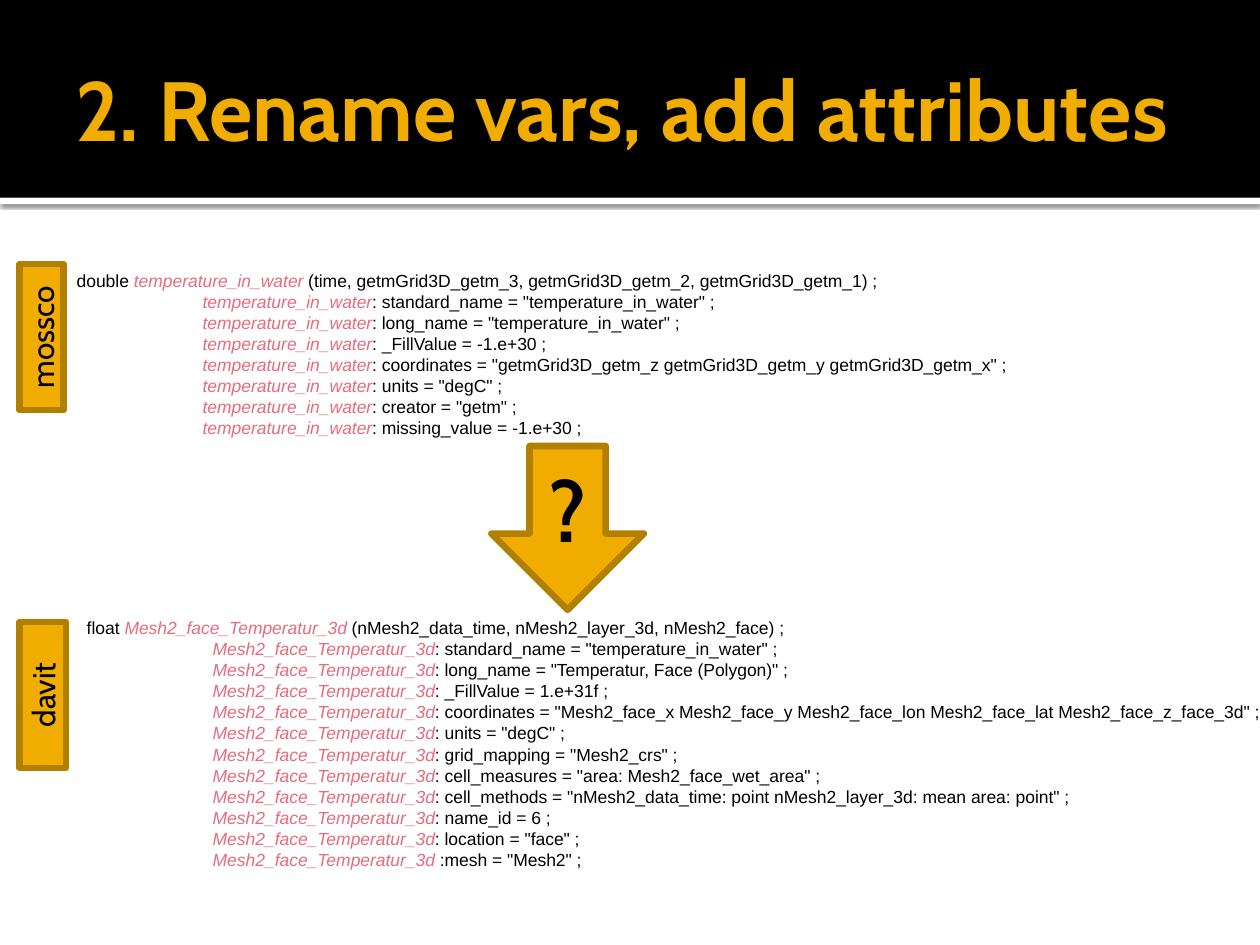
from lxml.etree import SubElement
from pptx import Presentation
from pptx.dml.color import RGBColor
from pptx.enum.shapes import MSO_SHAPE
from pptx.enum.text import MSO_ANCHOR, PP_ALIGN
from pptx.oxml.ns import qn
from pptx.util import Inches, Pt

BLACK, WHITE = "000000", "FFFFFF"
GOLD, DARK_GOLD, PINK = "F0AD00", "B28000", "E66C7D"

TITLE = "2. Rename vars, add attributes"

VARIABLES = [
    {
        "box": (0.51, 2.09, 8.58, 1.78),
        "type": "double ",
        "name": "temperature_in_water",
        "dimensions": " (time, getmGrid3D_getm_3, getmGrid3D_getm_2, getmGrid3D_getm_1) ;",
        "attributes": [
            ': standard_name = "temperature_in_water" ;',
            ': long_name = "temperature_in_water" ;',
            ": _FillValue = -1.e+30 ;",
            ': coordinates = "getmGrid3D_getm_z getmGrid3D_getm_y getmGrid3D_getm_x" ;',
            ': units = "degC" ;',
            ': creator = "getm" ;',
            ": missing_value = -1.e+30 ;",
        ],
    },
    {
        "box": (0.59, 4.85, 9.53, 2.12),
        "type": "float ",
        "name": "Mesh2_face_Temperatur_3d",
        "dimensions": " (nMesh2_data_time, nMesh2_layer_3d, nMesh2_face) ;",
        "attributes": [
            ': standard_name = "temperature_in_water" ;',
            ': long_name = "Temperatur, Face (Polygon)" ;',
            ": _FillValue = 1.e+31f ;",
            ': coordinates = "Mesh2_face_x Mesh2_face_y Mesh2_face_lon Mesh2_face_lat Mesh2_face_z_face_3d" ;',
            ': units = "degC" ;',
            ': grid_mapping = "Mesh2_crs" ;',
            ': cell_measures = "area: Mesh2_face_wet_area" ;',
            ': cell_methods = "nMesh2_data_time: point nMesh2_layer_3d: mean area: point" ;',
            ": name_id = 6 ;",
            ': location = "face" ;',
            ' :mesh = "Mesh2" ;',
        ],
    },
]

GOLD_SHAPES = [
    ("?", MSO_SHAPE.DOWN_ARROW, (3.9, 3.54, 1.21, 1.3), 0, 48, True),
    ("mossco", MSO_SHAPE.RECTANGLE, (-0.25, 2.5, 1.16, 0.35), 270, 18, False),
    ("davit", MSO_SHAPE.RECTANGLE, (-0.24, 5.33, 1.16, 0.37), 270, 18, False),
]


def rgb(color):
    return RGBColor.from_string(color)


def add_text(paragraph, text, size=10, font="Arial", color=BLACK, bold=False, italic=False):
    run = paragraph.add_run()
    run.text = text
    run.font.size = Pt(size)
    run.font.name = font
    run.font.bold = bold
    run.font.italic = italic
    run.font.color.rgb = rgb(color)


def add_box(slide, box):
    shape = slide.shapes.add_textbox(*map(Inches, box))
    shape.text_frame.word_wrap = True
    return shape.text_frame


def add_filled(slide, kind, box, fill, line=None):
    shape = slide.shapes.add_shape(kind, *map(Inches, box))
    shape.shadow.inherit = False
    shape.fill.solid()
    shape.fill.fore_color.rgb = rgb(fill)
    if line:
        shape.line.color.rgb = rgb(line)
        shape.line.width = Pt(3.78)
    else:
        shape.line.fill.background()
    return shape


def add_shadow(shape):
    effects = shape.element.spPr.find(qn("a:effectLst"))
    shadow = SubElement(effects, qn("a:outerShdw"), blurRad=str(Pt(2.5)), dist=str(Pt(0.8)),
                        dir="5400000", algn="tl", rotWithShape="0")
    color = SubElement(shadow, qn("a:srgbClr"), val=BLACK)
    SubElement(color, qn("a:alpha"), val="60000")


def add_tab_stop(paragraph, position):
    properties = paragraph._p.get_or_add_pPr()
    tab_stops = SubElement(properties, qn("a:tabLst"))
    SubElement(tab_stops, qn("a:tab"), pos=str(position), algn="l")


def add_header(slide):
    strip = add_filled(slide, MSO_SHAPE.RECTANGLE, (0, 1.57, 10, 0.05), WHITE)
    add_shadow(strip)
    add_filled(slide, MSO_SHAPE.RECTANGLE, (0, 0, 10, 1.57), BLACK)
    frame = add_box(slide, (0.5, 0.17, 9, 1.37))
    frame.margin_right = Inches(0.05)
    frame.vertical_anchor = MSO_ANCHOR.MIDDLE
    add_text(frame.paragraphs[0], TITLE, size=48, font="Cabin", color=GOLD, bold=True)


def add_variable(slide, variable):
    frame = add_box(slide, variable["box"])
    lines = [(variable["type"], variable["dimensions"])]
    lines += [("\t", attribute) for attribute in variable["attributes"]]
    for index, (before, after) in enumerate(lines):
        paragraph = frame.add_paragraph() if index else frame.paragraphs[0]
        add_tab_stop(paragraph, Inches(1))
        add_text(paragraph, before)
        add_text(paragraph, variable["name"], color=PINK, italic=True)
        add_text(paragraph, after)


def add_gold_shape(slide, text, kind, box, rotation, size, bold):
    shape = add_filled(slide, kind, box, GOLD, DARK_GOLD)
    shape.rotation = rotation
    shape.text_frame.vertical_anchor = MSO_ANCHOR.MIDDLE
    paragraph = shape.text_frame.paragraphs[0]
    paragraph.alignment = PP_ALIGN.CENTER
    add_text(paragraph, text, size=size, font="Cabin", bold=bold)


def main():
    presentation = Presentation()
    presentation.slide_width = Inches(10)
    presentation.slide_height = Inches(7.5)
    slide = presentation.slides.add_slide(presentation.slide_layouts[6])
    add_header(slide)
    for variable in VARIABLES:
        add_variable(slide, variable)
    for gold_shape in GOLD_SHAPES:
        add_gold_shape(slide, *gold_shape)
    presentation.save("out.pptx")


if __name__ == "__main__":
    main()
